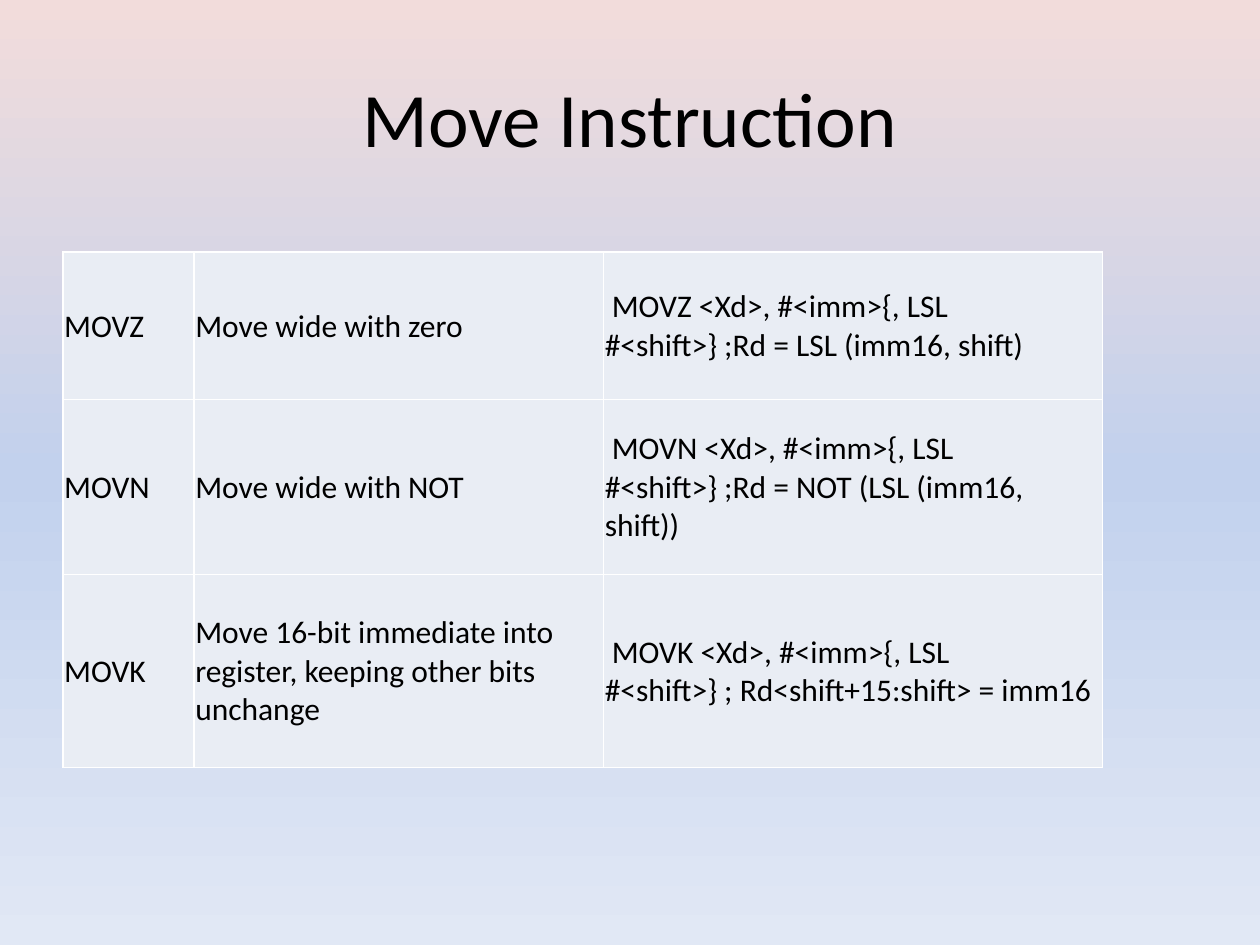
"""Build the Move Instruction slide with its table of three opcodes."""
import copy
from dataclasses import astuple, dataclass

import pptx
import pptx.dml.color
import pptx.enum.text
import pptx.oxml
import pptx.oxml.ns
import pptx.util

COLORS = {"text": "000000", "cell": "E9EDF4", "border": "FFFFFF"}
BACKDROP = {0: "F2DCDB", 0.5: "C2D1ED", 1: "E1E8F5"}
FONT = "Calibri"
COLUMN_WIDTHS = (1.04, 3.25, 3.96)
ROW_HEIGHTS = (1.17, 1.39, 1.53)
Inches = pptx.util.Inches
Align = pptx.enum.text.PP_ALIGN


@dataclass
class Instruction:
    opcode: str
    meaning: str
    syntax: str


INSTRUCTIONS = (
    Instruction("MOVZ", "Move wide with zero",
                "\u00a0MOVZ <Xd>, #<imm>{, LSL #<shift>}\u00a0;Rd = LSL (imm16, shift)"),
    Instruction("MOVN", "Move wide with NOT",
                "\u00a0MOVN <Xd>, #<imm>{, LSL #<shift>}\u00a0;Rd = NOT (LSL (imm16, shift))"),
    Instruction("MOVK", "Move 16-bit immediate into register, keeping other bits unchange",
                "\u00a0MOVK <Xd>, #<imm>{, LSL #<shift>}\u00a0;\u00a0Rd<shift+15:shift> = imm16"),
)


def rgb(value: str) -> pptx.dml.color.RGBColor:
    return pptx.dml.color.RGBColor.from_string(value)


def write(frame, text: str, *, size: float, align=Align.LEFT, color: str = "text") -> None:
    frame.word_wrap = True
    paragraph = frame.paragraphs[0]
    paragraph.alignment = align
    run = paragraph.add_run()
    run.text = text
    run.font.name = FONT
    run.font.size = pptx.util.Pt(size)
    run.font.color.rgb = rgb(COLORS[color])


def paint_background(slide) -> None:
    fill = slide.background.fill
    fill.gradient()
    fill.gradient_angle = 270
    stop_list = next(slide.element.iter(pptx.oxml.ns.qn("a:gsLst")))
    stop_list.append(copy.deepcopy(stop_list[0]))
    for stop, (position, color) in zip(fill.gradient_stops, BACKDROP.items()):
        stop.position = position
        stop.color.rgb = rgb(color)


def add_title(slide, text: str) -> None:
    title = slide.shapes.add_textbox(Inches(0.5), Inches(0.3), Inches(9), Inches(1.25))
    title.text_frame.vertical_anchor = pptx.enum.text.MSO_ANCHOR.MIDDLE
    write(title.text_frame, text, size=44, align=Align.CENTER)


def add_borders(cell) -> None:
    properties = cell._tc.get_or_add_tcPr()
    for index, side in enumerate(("lnL", "lnR", "lnT", "lnB")):
        properties.insert(index, pptx.oxml.parse_xml(
            f'<a:{side} {pptx.oxml.ns.nsdecls("a")} w="{pptx.util.Pt(1)}"><a:solidFill>'
            f'<a:srgbClr val="{COLORS["border"]}"/></a:solidFill></a:{side}>'))


def fill_cell(cell, text: str) -> None:
    cell.margin_left = cell.margin_right = cell.margin_top = Inches(0.01)
    cell.margin_bottom = 0
    cell.vertical_anchor = pptx.enum.text.MSO_ANCHOR.MIDDLE
    cell.fill.solid()
    cell.fill.fore_color.rgb = rgb(COLORS["cell"])
    add_borders(cell)
    write(cell.text_frame, text, size=18)


def add_instructions(slide) -> None:
    table = slide.shapes.add_table(
        len(ROW_HEIGHTS), len(COLUMN_WIDTHS), Inches(0.5), Inches(2),
        Inches(sum(COLUMN_WIDTHS)), Inches(sum(ROW_HEIGHTS))).table
    table.first_row = table.horz_banding = False
    for column, width in zip(table.columns, COLUMN_WIDTHS):
        column.width = Inches(width)
    for row, height, instruction in zip(table.rows, ROW_HEIGHTS, INSTRUCTIONS):
        row.height = Inches(height)
        for cell, text in zip(row.cells, astuple(instruction)):
            fill_cell(cell, text)


def main() -> None:
    deck = pptx.Presentation()
    deck.slide_width, deck.slide_height = Inches(10), Inches(7.5)
    slide = deck.slides.add_slide(deck.slide_layouts[6])
    paint_background(slide)
    add_title(slide, "Move Instruction")
    add_instructions(slide)
    deck.save("out.pptx")


main()
